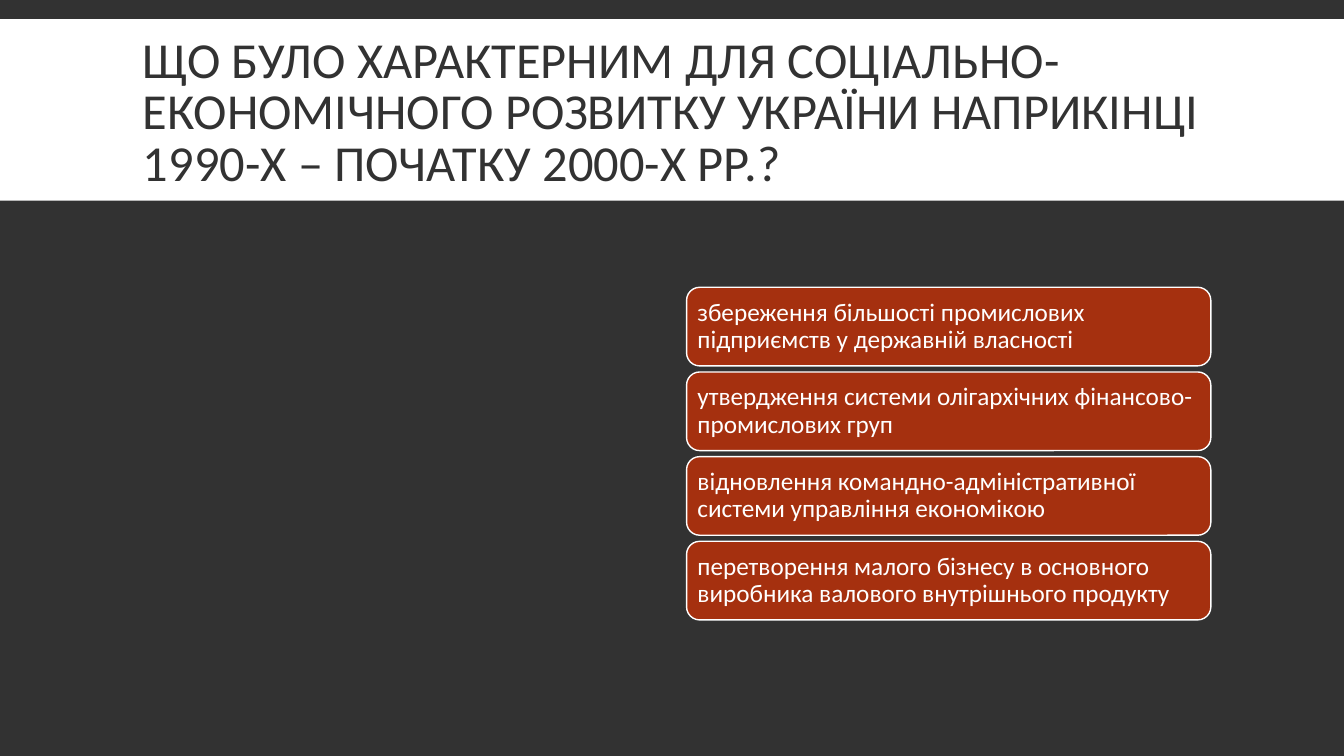
"""Build a question slide with a title band and four answer cards."""
from pptx import Presentation
from pptx.dml.color import RGBColor
from pptx.enum.shapes import MSO_SHAPE
from pptx.enum.text import MSO_ANCHOR, PP_ALIGN
from pptx.util import Inches, Pt

TITLE = ("ЩО БУЛО ХАРАКТЕРНИМ ДЛЯ СОЦІАЛЬНО-ЕКОНОМІЧНОГО РОЗВИТКУ "
         "УКРАЇНИ НАПРИКІНЦІ 1990-Х – ПОЧАТКУ 2000-Х РР.?")
ANSWERS = [
    "збереження більшості промислових підприємств у державній власності",
    "утвердження системи олігархічних фінансово-промислових груп",
    "відновлення командно-адміністративної системи управління економікою",
    "перетворення малого бізнесу в основного виробника валового внутрішнього продукту",
]
COLORS = {"dark": "323232", "white": "FFFFFF", "card": "A5300F"}
FONT = "Calibri"
WIDTH, HEIGHT = 13.33, 7.5
BAND = (0, 0.19, WIDTH, 1.8)
TITLE_BOX = (1.32, 0.31, 10.7, 1.65)
CARD_LEFT, CARD_TOP, CARD_WIDTH, CARD_HEIGHT = 6.81, 2.85, 5.2, 0.78
CARD_PITCH = 0.84
CARD_INSET = 0.07


def color(name):
    return RGBColor.from_string(COLORS[name])


def add_block(slide, kind, box, fill):
    sp = slide.shapes.add_shape(kind, *map(Inches, box))
    sp.shadow.inherit = False
    sp.fill.solid()
    sp.fill.fore_color.rgb = color(fill)
    sp.line.fill.background()
    return sp


def write(sp, text, size, ink, spacing):
    tf = sp.text_frame
    tf.word_wrap = True
    tf.vertical_anchor = MSO_ANCHOR.MIDDLE
    p = tf.paragraphs[0]
    p.text = text
    p.alignment = PP_ALIGN.LEFT
    p.line_spacing = spacing
    p.font.name = FONT
    p.font.size = Pt(size)
    p.font.color.rgb = color(ink)
    return tf


def add_card(slide, row, text):
    box = (CARD_LEFT, CARD_TOP + row * CARD_PITCH, CARD_WIDTH, CARD_HEIGHT)
    sp = add_block(slide, MSO_SHAPE.ROUNDED_RECTANGLE, box, "card")
    sp.line.color.rgb = color("white")
    sp.line.width = Pt(1)
    tf = write(sp, text, 18, "white", 0.9)
    tf.margin_left = tf.margin_right = Inches(CARD_INSET)
    tf.margin_top = tf.margin_bottom = Inches(CARD_INSET)


def main():
    prs = Presentation()
    prs.slide_width, prs.slide_height = Inches(WIDTH), Inches(HEIGHT)
    s = prs.slides.add_slide(prs.slide_layouts[6])
    s.background.fill.solid()
    s.background.fill.fore_color.rgb = color("dark")
    add_block(s, MSO_SHAPE.RECTANGLE, BAND, "white")
    title = s.shapes.add_textbox(*map(Inches, TITLE_BOX))
    write(title, TITLE, 36, "dark", 0.85)
    for row, text in enumerate(ANSWERS):
        add_card(s, row, text)
    prs.save("out.pptx")


if __name__ == "__main__":
    main()
